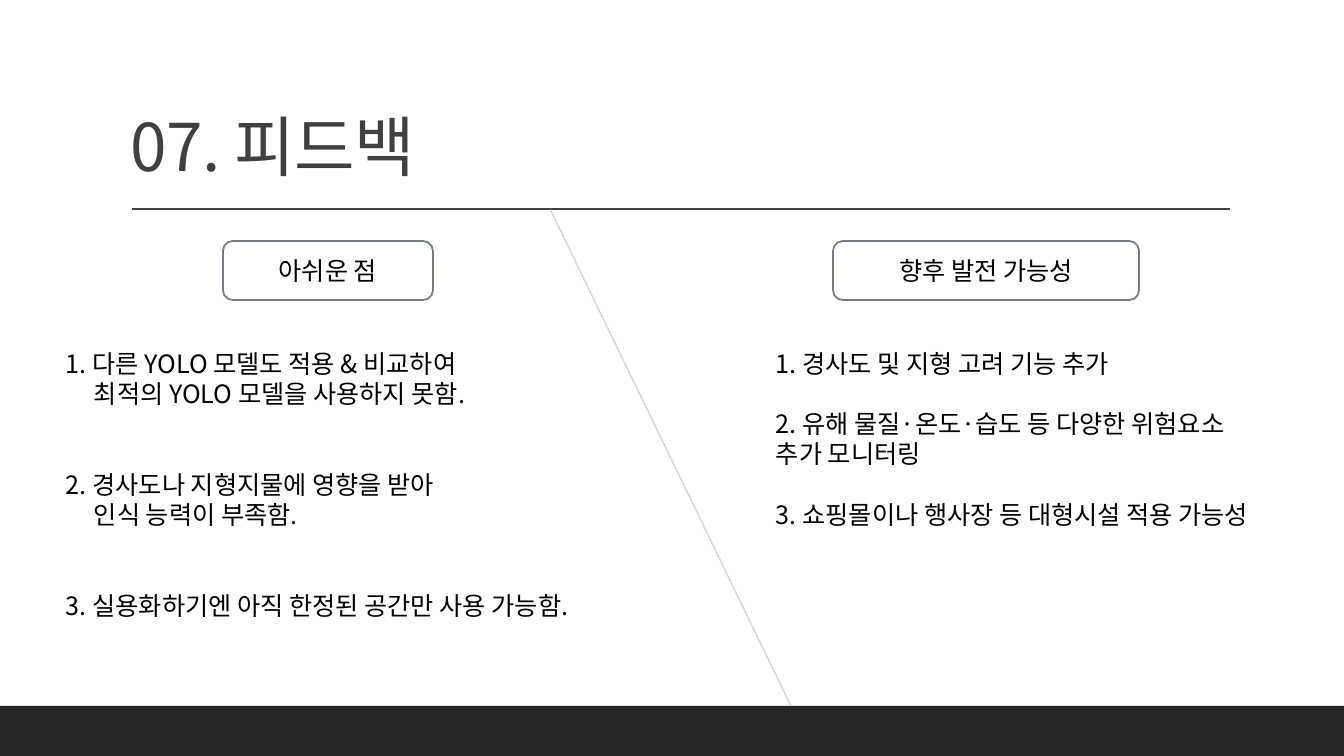
from lxml import etree
from pptx import Presentation
from pptx.dml.color import RGBColor
from pptx.enum.shapes import MSO_CONNECTOR, MSO_SHAPE
from pptx.enum.text import MSO_ANCHOR, PP_ALIGN
from pptx.oxml.ns import qn
from pptx.util import Pt

STRAIGHT = MSO_CONNECTOR.STRAIGHT
RECTANGLE, ROUNDED = MSO_SHAPE.RECTANGLE, MSO_SHAPE.ROUNDED_RECTANGLE
MIDDLE, BOTTOM = MSO_ANCHOR.MIDDLE, MSO_ANCHOR.BOTTOM
LEFT, CENTER = PP_ALIGN.LEFT, PP_ALIGN.CENTER

EMU_PER_PX = 914400 / 100.8
FONT = "Noto Sans CJK KR"
BODY_SIZE = 18
LINE_PITCH = 21.6
COLORS = {
    "footer": "262626",
    "title": "404040",
    "divider": "9BA8B7",
    "heading_fill": "FFFFFF",
    "heading_line": "737C87",
    "text": "000000",
}
SHORTCOMINGS = [
    "1. 다른 YOLO 모델도 적용 & 비교하여\n최적의 YOLO 모델을 사용하지 못함.",
    "2. 경사도나 지형지물에 영향을 받아\n인식 능력이 부족함.",
    "3. 실용화하기엔 아직 한정된 공간만 사용 가능함.",
]
PROSPECTS = [
    "1. 경사도 및 지형 고려 기능 추가",
    "2. 유해 물질·온도·습도 등 다양한 위험요소\n추가 모니터링",
    "3. 쇼핑몰이나 행사장 등 대형시설 적용 가능성",
]


def px(length):
    """Turn pixels into EMU."""
    return round(length * EMU_PER_PX)


def rgb(name):
    """Look up a named colour."""
    return RGBColor.from_string(COLORS[name])


def style_paragraph(paragraph, size, color, align=LEFT, tracking=0):
    """Set the font, colour and alignment of a paragraph."""
    paragraph.alignment = align
    font = paragraph.font
    font.name, font.size = FONT, Pt(size)
    font.color.rgb = rgb(color)
    defaults = paragraph._p.pPr.find(qn("a:defRPr"))
    defaults.set("spc", str(tracking))
    etree.SubElement(defaults, qn("a:ea")).set("typeface", FONT)


def add_line(slide, start, end, color, opacity=100):
    """Draw a one-point line."""
    line = slide.shapes.add_connector(STRAIGHT, *map(px, start + end))
    line.line.width = Pt(1)
    line.line.color.rgb = rgb(color)
    etree.SubElement(line._element.spPr, qn("a:effectLst"))
    if opacity < 100:
        tint = line._element.spPr.find(".//" + qn("a:srgbClr"))
        etree.SubElement(tint, qn("a:alpha")).set("val", str(opacity * 1000))


def add_panel(slide, kind, box, fill):
    """Add a filled shape without outline or shadow."""
    panel = slide.shapes.add_shape(kind, *map(px, box))
    panel.shadow.inherit = False
    panel.fill.solid()
    panel.fill.fore_color.rgb = rgb(fill)
    panel.line.fill.background()
    return panel


def add_heading(slide, box, text):
    """Add a rounded column heading."""
    heading = add_panel(slide, ROUNDED, box, "heading_fill")
    heading.line.color.rgb = rgb("heading_line")
    heading.line.width = Pt(1.25)
    heading.text_frame.vertical_anchor = MIDDLE
    label = heading.text_frame.paragraphs[0]
    label.text = text
    style_paragraph(label, BODY_SIZE, "text", CENTER)


def add_title(slide, box, text):
    """Add the slide title, resting on the bottom of its box."""
    frame = slide.shapes.add_textbox(*map(px, box)).text_frame
    frame.word_wrap = True
    frame.vertical_anchor = BOTTOM
    title = frame.paragraphs[0]
    title.text = text
    title.line_spacing = 0.9
    style_paragraph(title, 47, "title", tracking=-50)


def add_points(slide, box, points, gap_lines, hanging=0):
    """Add numbered points separated by a number of line heights."""
    frame = slide.shapes.add_textbox(*map(px, box)).text_frame
    frame.word_wrap = True
    for index, text in enumerate(points):
        point = frame.paragraphs[0] if index == 0 else frame.add_paragraph()
        point.text = text
        point.line_spacing = Pt(LINE_PITCH)
        if index:
            point.space_before = Pt(gap_lines * LINE_PITCH)
        if hanging:
            properties = point._p.get_or_add_pPr()
            properties.set("marL", str(px(hanging)))
            properties.set("indent", str(-px(hanging)))
        style_paragraph(point, BODY_SIZE, "text")


def main():
    """Build the feedback slide."""
    deck = Presentation()
    deck.slide_width, deck.slide_height = px(1344), px(756)
    slide = deck.slides.add_slide(deck.slide_layouts[6])
    add_panel(slide, RECTANGLE, (0, 706, 1344, 50), "footer")
    add_line(slide, (132, 209), (1230, 209), "title")
    add_title(slide, (121, 31, 1109, 160), "07. 피드백")
    add_line(slide, (550, 209), (791, 706), "divider", opacity=48)
    add_heading(slide, (223, 241, 210, 59), "아쉬운 점")
    add_heading(slide, (833, 241, 306, 59), "향후 발전 가능성")
    add_points(slide, (56, 343, 593, 377), SHORTCOMINGS, 2, hanging=28)
    add_points(slide, (766, 343, 544, 224), PROSPECTS, 1)
    deck.save("out.pptx")


if __name__ == "__main__":
    main()
